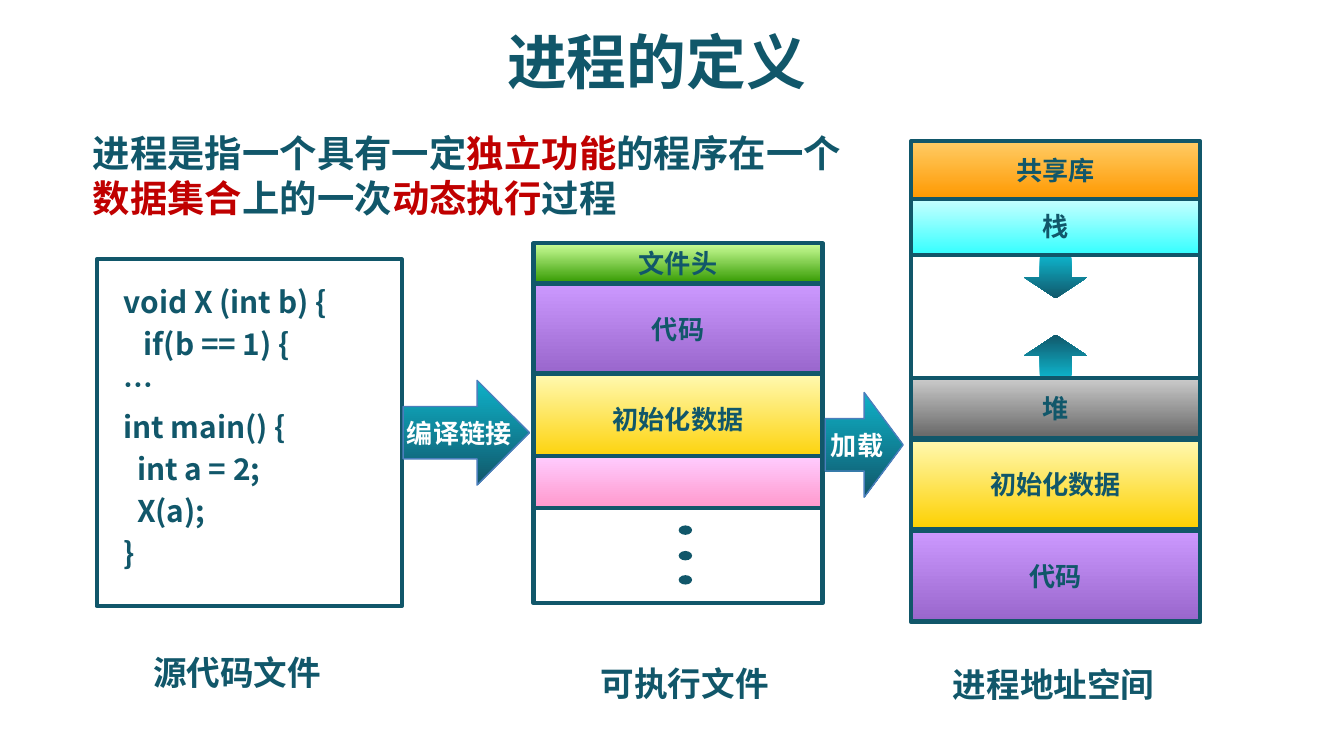
import dataclasses

import pptx
import pptx.dml.color
import pptx.enum.shapes
import pptx.enum.text
import pptx.oxml.ns
import pptx.util
from lxml import etree

Inches = pptx.util.Inches
Shape = pptx.enum.shapes.MSO_SHAPE
Align = pptx.enum.text.PP_ALIGN
Anchor = pptx.enum.text.MSO_ANCHOR


@dataclasses.dataclass(frozen=True)
class Theme:
    font: str = "Noto Sans CJK SC"
    ink: str = "11576A"
    accent: str = "C00000"
    white: str = "FFFFFF"
    arrow_edge: str = "4B7EBC"
    flow: tuple = ("0EB1C8", "11576A")
    code: tuple = ("CC99FF", "9966CC")
    data: tuple = ("FFF9B1", "FDD000")
    heap: tuple = ("CCCCCC", "666666")
    stack: tuple = ("CCFFFF", "33FFFF")
    library: tuple = ("FFCC66", "FF9900")
    header: tuple = ("CCFF99", "339900")
    section: tuple = ("FFCCFF", "FF99CC")
    title_size: int = 32
    body_size: int = 20
    caption_size: int = 18
    code_size: int = 16
    label_size: int = 14
    border: float = 2.25
    hairline: float = 0.75
    leading: float = 1.2


class ProcessPage:
    def __init__(self, deck, theme):
        self.theme = theme
        self.page = deck.slides.add_slide(deck.slide_layouts[1])

    def color(self, value):
        return pptx.dml.color.RGBColor.from_string(value)

    def place(self, box, left, top, width, height):
        box.left, box.top = Inches(left), Inches(top)
        box.width, box.height = Inches(width), Inches(height)

    def frame(self, box, wrap, anchor, margins):
        frame = box.text_frame
        frame.auto_size = pptx.enum.text.MSO_AUTO_SIZE.NONE
        frame.word_wrap = wrap
        frame.vertical_anchor = anchor
        frame.margin_left, frame.margin_top, frame.margin_right, frame.margin_bottom = map(Inches, margins)
        return frame

    def span(self, para, text, size, color):
        span = para.add_run()
        span.text = text
        span.font.name = self.theme.font
        span.font.size = pptx.util.Pt(size)
        span.font.bold = True
        span.font.color.rgb = self.color(color)
        east_asian = etree.SubElement(span.font._element, pptx.oxml.ns.qn("a:ea"))
        east_asian.set("typeface", self.theme.font)

    def label(self, box, text, size, color, left_margin=0):
        frame = self.frame(box, False, Anchor.MIDDLE, (left_margin, 0, 0, 0))
        para = frame.paragraphs[0]
        para.alignment = Align.CENTER
        self.span(para, text, size, color)

    def title(self, text, *bounds):
        box = self.page.shapes.title
        self.place(box, *bounds)
        self.label(box, text, self.theme.title_size, self.theme.ink)

    def definition(self, parts, *bounds):
        box = self.page.placeholders[1]
        self.place(box, *bounds)
        para = self.frame(box, True, Anchor.TOP, (0.1, 0.05, 0.1, 0.05)).paragraphs[0]
        para.space_before = pptx.util.Pt(0)
        para.line_spacing = pptx.util.Pt(self.theme.body_size * self.theme.leading)
        settings = para._p.get_or_add_pPr()
        settings.set("marL", "0")
        settings.set("indent", "0")
        etree.SubElement(settings, pptx.oxml.ns.qn("a:buNone"))
        for text, color in parts:
            self.span(para, text, self.theme.body_size, color)

    def caption(self, text, *bounds):
        box = self.page.shapes.add_textbox(*map(Inches, bounds))
        self.label(box, text, self.theme.caption_size, self.theme.ink)

    def shape(self, kind, bounds, fill=None, line=None, weight=0):
        box = self.page.shapes.add_shape(kind, *map(Inches, bounds))
        box.shadow.inherit = False
        if isinstance(fill, tuple):
            box.fill.gradient()
            box.fill.gradient_angle = 270
            for stop, color, position in zip(box.fill.gradient_stops, fill, (0, 1)):
                stop.color.rgb = self.color(color)
                stop.position = position
        elif fill:
            box.fill.solid()
            box.fill.fore_color.rgb = self.color(fill)
        else:
            box.fill.background()
        if line:
            box.line.color.rgb = self.color(line)
            box.line.width = pptx.util.Pt(weight)
        else:
            box.line.fill.background()
        return box

    def block(self, left, top, width, height, fill=None, text=None):
        box = self.shape(Shape.RECTANGLE, (left, top, width, height), fill, self.theme.ink, self.theme.border)
        if text:
            self.label(box, text, self.theme.label_size, self.theme.ink)
        return box

    def column(self, left, width, rows):
        for top, height, fill, text in rows:
            self.block(left, top, width, height, fill, text)

    def step(self, text, left_margin, *bounds):
        box = self.shape(Shape.RIGHT_ARROW, bounds, self.theme.flow, self.theme.arrow_edge, self.theme.hairline)
        self.label(box, text, self.theme.label_size, self.theme.white, left_margin)

    def growth(self, top, rotation):
        box = self.shape(Shape.DOWN_ARROW, (7.62, top, 0.47, 0.31), self.theme.flow)
        box.rotation = rotation

    def listing(self, lines, *bounds):
        frame = self.frame(self.block(*bounds), True, Anchor.TOP, (0.2, 0.18, 0.1, 0.05))
        size = self.theme.code_size
        for number, (indent, text) in enumerate(lines):
            para = frame.add_paragraph() if number else frame.paragraphs[0]
            para.alignment = Align.LEFT
            para.line_spacing = pptx.util.Pt(size * self.theme.leading)
            para.space_before = pptx.util.Pt(size * 0.2 if number else 0)
            para._p.get_or_add_pPr().set("marL", str(Inches(indent)))
            self.span(para, text, size, self.theme.ink)


def main():
    deck = pptx.Presentation()
    deck.slide_width = Inches(10)
    deck.slide_height = deck.slide_width * 9 // 16
    theme = Theme()
    page = ProcessPage(deck, theme)

    page.title("进程的定义", 3.65, 0.13, 2.47, 0.64)
    page.definition([
        ("进程是指一个具有一定", theme.ink),
        ("独立功能", theme.accent),
        ("的程序在一个", theme.ink),
        ("数据集合", theme.accent),
        ("上的一次", theme.ink),
        ("动态执行", theme.accent),
        ("过程", theme.ink),
    ], 0.59, 0.92, 5.84, 0.77)

    page.listing([
        (0, "void X (int b) {"),
        (0.15, "if(b == 1) {"),
        (0, "…"),
        (0, "int main() {"),
        (0.1, "int a = 2;"),
        (0.1, "X(a);"),
        (0, "}"),
    ], 0.72, 1.93, 2.27, 2.58)

    page.column(3.97, 2.15, [
        (2.11, 0.67, theme.code, "代码"),
        (2.78, 0.67, theme.data, "初始化数据"),
        (1.81, 0.3, theme.header, "文件头"),
        (3.39, 0.39, theme.section, None),
        (3.78, 0.71, None, None),
    ])
    for top in (3.91, 4.1, 4.28):
        page.shape(Shape.OVAL, (5.05, top, 0.1, 0.07), theme.ink)

    page.column(6.78, 2.15, [
        (1.06, 3.57, None, None),
        (3.95, 0.67, theme.code, "代码"),
        (3.27, 0.67, theme.data, "初始化数据"),
        (2.81, 0.45, theme.heap, "堆"),
        (1.47, 0.43, theme.stack, "栈"),
        (1.05, 0.43, theme.library, "共享库"),
    ])
    page.growth(1.91, 0)
    page.growth(2.49, 180)

    page.step("编译链接", 0.09, 3, 2.83, 0.94, 0.78)
    page.step("加载", 0.04, 6.14, 2.92, 0.58, 0.78)

    page.caption("源代码文件", 1.03, 4.8, 1.47, 0.4)
    page.caption("可执行文件", 4.36, 4.88, 1.47, 0.4)
    page.caption("进程地址空间", 6.98, 4.89, 1.72, 0.4)

    deck.save("out.pptx")


if __name__ == "__main__":
    main()
